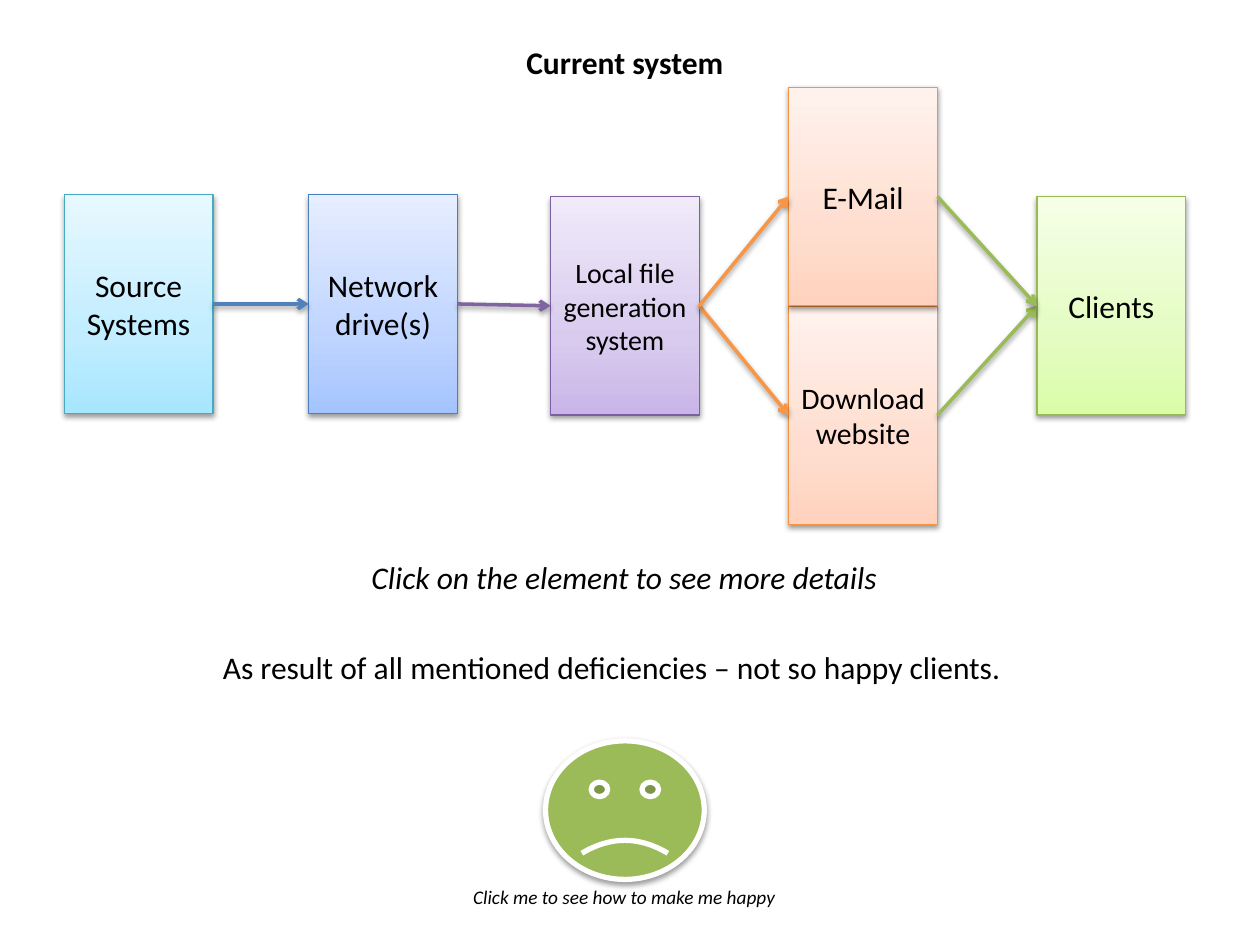
from copy import deepcopy
from dataclasses import dataclass

from lxml.etree import SubElement
from pptx import Presentation
from pptx.dml.color import RGBColor
from pptx.enum.shapes import MSO_CONNECTOR, MSO_SHAPE
from pptx.enum.text import MSO_ANCHOR, PP_ALIGN
from pptx.oxml.ns import qn
from pptx.util import Inches, Pt


@dataclass(frozen=True)
class Theme:
    font = "Calibri"
    text = "000000"
    body_size, small_size = 18, 11
    face, face_line = "9BBB59", "FFFFFF"
    # border, arrow, then gradient stops from bottom to top
    aqua = ("46AAC5", "4BACC6", "A7E6FF", "C1EDFF", "E7F8FF")
    blue = ("4B7EBC", "4F81BD", "A4C4FF", "BFD4FF", "E6EEFF")
    purple = ("7D60A0", "8064A2", "C9B5E8", "D8CBEE", "F0EAF9")
    orange = ("F69240", "F79646", "FFD2BD", "FFDED0", "FFF2ED")
    green = ("98B955", "9BBB59", "DAFDA7", "E4FCC2", "F5FFE7")


theme = Theme()
presentation = Presentation()
presentation.slide_width, presentation.slide_height = Inches(10), Inches(7.5)
slide = presentation.slides.add_slide(presentation.slide_layouts[6])
shapes = slide.shapes

# The grid has 100 columns and 75 rows
column = presentation.slide_width / 100
row = presentation.slide_height / 75
box_columns, box_rows = 11.8, 17.35


def write(shape, text, size, bold=False, italic=False, align=PP_ALIGN.CENTER):
    shape.text_frame.word_wrap = True
    paragraph = shape.text_frame.paragraphs[0]
    paragraph.text = text
    paragraph.alignment = align
    font = paragraph.runs[0].font
    font.name, font.size = theme.font, Pt(size)
    font.bold, font.italic = bold, italic
    font.color.rgb = RGBColor.from_string(theme.text)


def outline_with_shadow(shape, color, width):
    """Draw the outline and a soft shadow that falls straight down."""
    shape.line.color.rgb = RGBColor.from_string(color)
    shape.line.width = Pt(width)
    effects = SubElement(shape._element.spPr, qn("a:effectLst"))
    shadow = SubElement(effects, qn("a:outerShdw"), blurRad="40000",
                        dist="20000", dir="5400000", rotWithShape="0")
    shadow_color = SubElement(shadow, qn("a:srgbClr"), val="000000")
    SubElement(shadow_color, qn("a:alpha"), val="38000")


# Captions: text, left, top, width, height, size, bold, italic, alignment
captions = [
    ("Current system", 5.1, 2.9, 89, 4, theme.body_size, True, False, PP_ALIGN.CENTER),
    ("Click on the element to see more details",
     15.7, 43.8, 67.7, 4, theme.body_size, False, True, PP_ALIGN.CENTER),
    ("As result of all mentioned deficiencies – not so happy clients.",
     16.7, 50.9, 65.8, 4, theme.body_size, False, False, PP_ALIGN.LEFT),
    ("Click me to see how to make me happy",
     22, 69.8, 55.1, 2.9, theme.small_size, False, True, PP_ALIGN.CENTER),
]
for text, left, top, width, height, *style in captions:
    caption = shapes.add_textbox(int(left * column), int(top * row),
                                 int(width * column), int(height * row))
    write(caption, text, *style)

# Process boxes: key, text, left, top, size, palette
middle = 15.6
boxes = [
    ("source", "Source Systems", 5.1, 15.45, 18, theme.aqua),
    ("network", "Network drive(s)", 24.5, 15.45, 18, theme.blue),
    ("generator", "Local file generation system", 43.7, middle, 16, theme.purple),
    ("website", "Download website", 62.6, middle + box_rows / 2, 17, theme.orange),
    ("clients", "Clients", 82.3, middle, 18, theme.green),
    ("mail", "E-Mail", 62.6, middle - box_rows / 2, 18, theme.orange),
]
box_by_key = {}
for key, text, left, top, size, (border, _, *stop_colors) in boxes:
    box = shapes.add_shape(MSO_SHAPE.RECTANGLE, int(left * column), int(top * row),
                           int(box_columns * column), int(box_rows * row))
    box.fill.gradient()
    box.fill.gradient_angle = 90
    stop_list = box._element.spPr.find(".//" + qn("a:gsLst"))
    stop_list.insert(1, deepcopy(stop_list[0]))
    for stop, color, position in zip(box.fill.gradient_stops, stop_colors, (0, 0.35, 1)):
        stop.color.rgb = RGBColor.from_string(color)
        stop.position = position
    outline_with_shadow(box, border, 0.75)
    box.text_frame.vertical_anchor = MSO_ANCHOR.MIDDLE
    write(box, text, size)
    box_by_key[key] = box

# Arrows run from the right side of one box to the left side of the next
left_site, right_site = 1, 3
arrows = [
    ("source", "network", theme.blue),
    ("network", "generator", theme.purple),
    ("generator", "website", theme.orange),
    ("website", "clients", theme.green),
    ("generator", "mail", theme.orange),
    ("mail", "clients", theme.green),
]
for start, end, palette in arrows:
    arrow = shapes.add_connector(MSO_CONNECTOR.STRAIGHT, 0, 0, 0, 0)
    arrow.begin_connect(box_by_key[start], right_site)
    arrow.end_connect(box_by_key[end], left_site)
    outline_with_shadow(arrow, palette[1], 2)
    SubElement(arrow.line._get_or_add_ln(), qn("a:tailEnd"), type="arrow")

# Unhappy client
face = shapes.add_shape(MSO_SHAPE.SMILEY_FACE, int(43.3 * column), int(58.8 * row),
                        int(12.6 * column), int(11 * row))
face.adjustments[0] = -0.05
face.fill.solid()
face.fill.fore_color.rgb = RGBColor.from_string(theme.face)
outline_with_shadow(face, theme.face_line, 3)

presentation.save("out.pptx")
